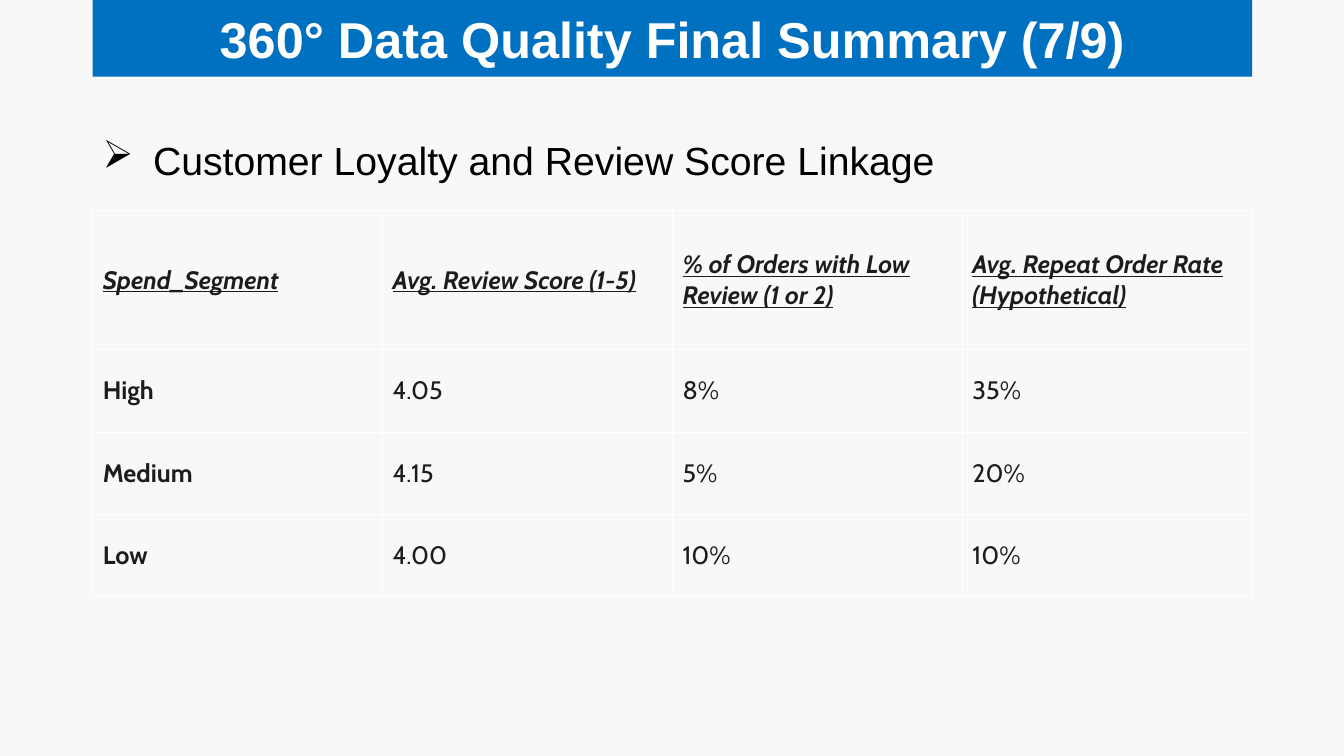
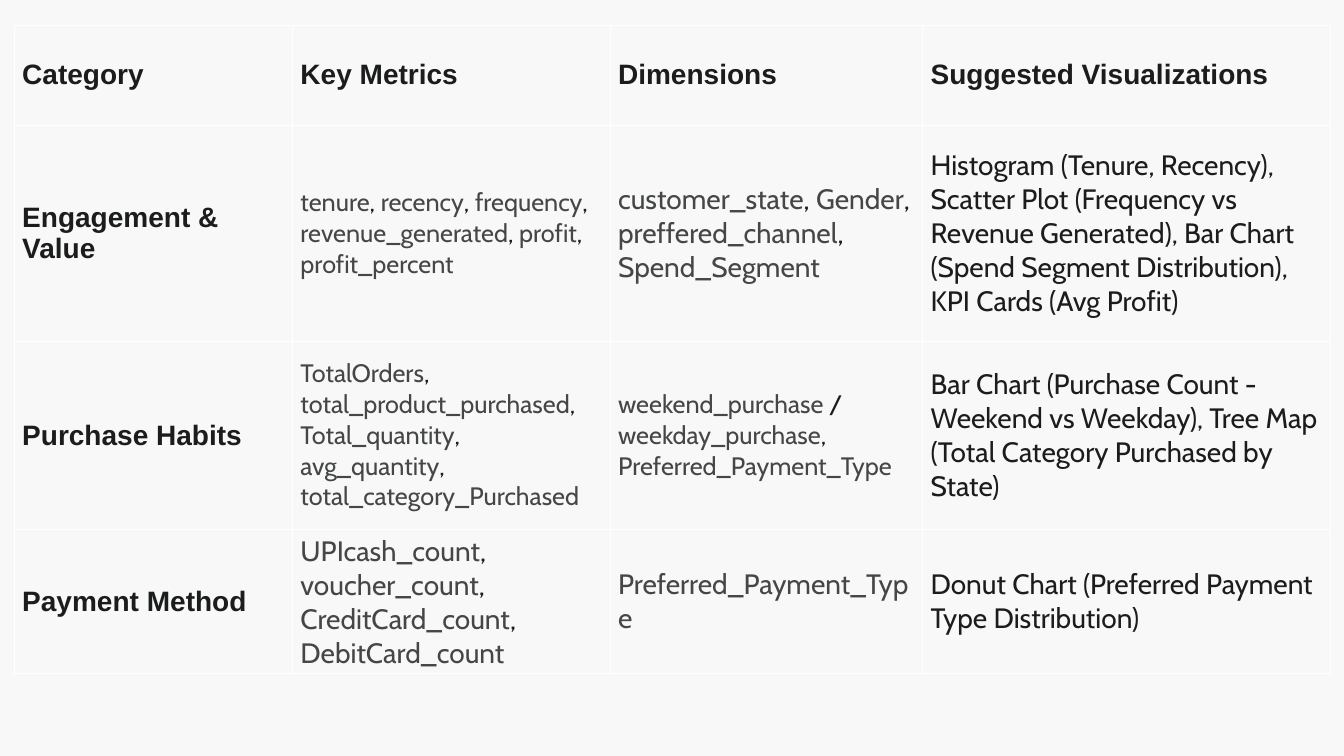
import pptx
import pptx.dml.color
import pptx.enum.shapes
import pptx.enum.text
import pptx.oxml
import pptx.oxml.ns
import pptx.util
from pptx.util import Inches

BACKGROUND, BAND, WHITE, BLACK = "F8F8F8", "0070C0", "FFFFFF", "000000"
INK, FIELD = "1B1C1D", "444746"
HEAD_FONT, BODY_FONT = "Arial", "Cabin"
MIDDLE = pptx.enum.text.MSO_ANCHOR.MIDDLE
NS = pptx.oxml.ns.nsdecls("a")
rgb = pptx.dml.color.RGBColor.from_string


def add_run(p, text, size, font=BODY_FONT, color=INK, bold=False, fancy=False):
    """Add one run; fancy means italic and underlined."""
    r = p.add_run()
    r.text = text
    r.font.size = pptx.util.Pt(size)
    r.font.name = font
    r.font.bold = bold
    r.font.italic = r.font.underline = fancy
    r.font.color.rgb = rgb(color)


def add_grid(s, left, top, widths, heights, margin_x, margin_y):
    """Add an unfilled table with thin white borders."""
    table = s.shapes.add_table(len(heights), len(widths), Inches(left), Inches(top),
                               Inches(sum(widths)), Inches(sum(heights))).table
    table.first_row = table.horz_banding = False
    for column, width in zip(table.columns, widths):
        column.width = Inches(width)
    for row, height in zip(table.rows, heights):
        row.height = Inches(height)
    for cell in table.iter_cells():
        cell.vertical_anchor = MIDDLE
        cell.margin_left = cell.margin_right = Inches(margin_x)
        cell.margin_top = cell.margin_bottom = Inches(margin_y)
        tcPr = cell._tc.get_or_add_tcPr()
        for side in "LRTB":
            tcPr.append(pptx.oxml.parse_xml(
                f'<a:ln{side} {NS} w="{pptx.util.Pt(0.6)}"><a:solidFill>'
                f'<a:srgbClr val="{WHITE}"/></a:solidFill></a:ln{side}>'))
        cell.fill.background()
    return table


prs = pptx.Presentation()
prs.slide_width, prs.slide_height = Inches(13.33), Inches(7.5)
slides = []
for _ in range(2):
    s = prs.slides.add_slide(prs.slide_layouts[6])
    s.background.fill.solid()
    s.background.fill.fore_color.rgb = rgb(BACKGROUND)
    slides.append(s)
loyalty, metrics = slides

# Loyalty slide: title band, heading and score table
LEFT, WIDTH = 0.92, 11.5
sp = loyalty.shapes.add_shape(pptx.enum.shapes.MSO_SHAPE.RECTANGLE,
                              Inches(LEFT), 0, Inches(WIDTH), Inches(0.76))
sp.shadow.inherit = False
sp.fill.solid()
sp.fill.fore_color.rgb = rgb(BAND)
sp.line.fill.background()
tf = sp.text_frame
tf.word_wrap = True
tf.vertical_anchor = MIDDLE
tf.margin_left = tf.margin_right = tf.margin_top = tf.margin_bottom = Inches(0.1)
p = tf.paragraphs[0]
p.alignment = pptx.enum.text.PP_ALIGN.CENTER
add_run(p, "360° Data Quality Final Summary (7/9)", 36, HEAD_FONT, WHITE, bold=True)

sp = loyalty.shapes.add_textbox(Inches(LEFT), Inches(1.3), Inches(WIDTH), Inches(0.57))
tf = sp.text_frame
tf.word_wrap = True
tf.auto_size = pptx.enum.text.MSO_AUTO_SIZE.SHAPE_TO_FIT_TEXT
p = tf.paragraphs[0]
pPr = p._p.get_or_add_pPr()
pPr.set("marL", str(Inches(0.5)))
pPr.set("indent", str(Inches(-0.5)))
pPr.append(pptx.oxml.parse_xml(f'<a:buChar {NS} char="➢"/>'))
add_run(p, "Customer Loyalty and Review Score Linkage", 28, HEAD_FONT, BLACK)

scores = [
    ["Spend_Segment", "Avg. Review Score (1-5)",
     "% of Orders with Low Review (1 or 2)", "Avg. Repeat Order Rate (Hypothetical)"],
    ["High", "4.05", "8%", "35%"],
    ["Medium", "4.15", "5%", "20%"],
    ["Low", "4.00", "10%", "10%"],
]
table = add_grid(loyalty, LEFT, 2.09, [WIDTH / 4] * 4, [1.38] + [0.815] * 3, 0.1, 0.07)
for row, texts in enumerate(scores):
    for col, text in enumerate(texts):
        add_run(table.cell(row, col).text_frame.paragraphs[0], text, 18,
                bold=row == 0 or col == 0, fancy=row == 0)

# Metrics slide: each cell holds its text and size
plan = [
    [("Category", 20), ("Key Metrics", 20), ("Dimensions", 20),
     ("Suggested Visualizations", 20)],
    [("Engagement & Value", 20),
     ("tenure, recency, frequency, revenue_generated, profit, profit_percent", 18),
     ("customer_state, Gender, preffered_channel, Spend_Segment", 20),
     ("Histogram (Tenure, Recency), Scatter Plot (Frequency vs Revenue Generated), "
      "Bar Chart (Spend Segment Distribution), KPI Cards (Avg Profit)", 20)],
    [("Purchase Habits", 20),
     ("TotalOrders, total_product_purchased, Total_quantity, avg_quantity, "
      "total_category_Purchased", 18),
     ("weekend_purchase / weekday_purchase, Preferred_Payment_Type", 18),
     ("Bar Chart (Purchase Count - Weekend vs Weekday), "
      "Tree Map (Total Category Purchased by State)", 20)],
    [("Payment Method", 20),
     ("UPIcash_count, voucher_count, CreditCard_count, DebitCard_count", 20),
     ("Preferred_Payment_Type", 20),
     ("Donut Chart (Preferred Payment Type Distribution)", 20)],
]
table = add_grid(metrics, 0.14, 0.25, [2.76, 3.15, 3.1, 4.04],
                 [0.99, 2.15, 1.86, 1.34], 0.08, 0.05)
for row, cells in enumerate(plan):
    for col, (text, size) in enumerate(cells):
        p = table.cell(row, col).text_frame.paragraphs[0]
        if row == 0 or col == 0:
            add_run(p, text, size, HEAD_FONT, bold=True)
        elif col == 3:
            add_run(p, text, size)
        else:
            # Field names are grey, the separators between them dark
            parts = text.replace(", ", "|, |").replace(" / ", "| / |").split("|")
            for i, part in enumerate(parts):
                add_run(p, part, size, color=INK if i % 2 else FIELD)

prs.save("out.pptx")
